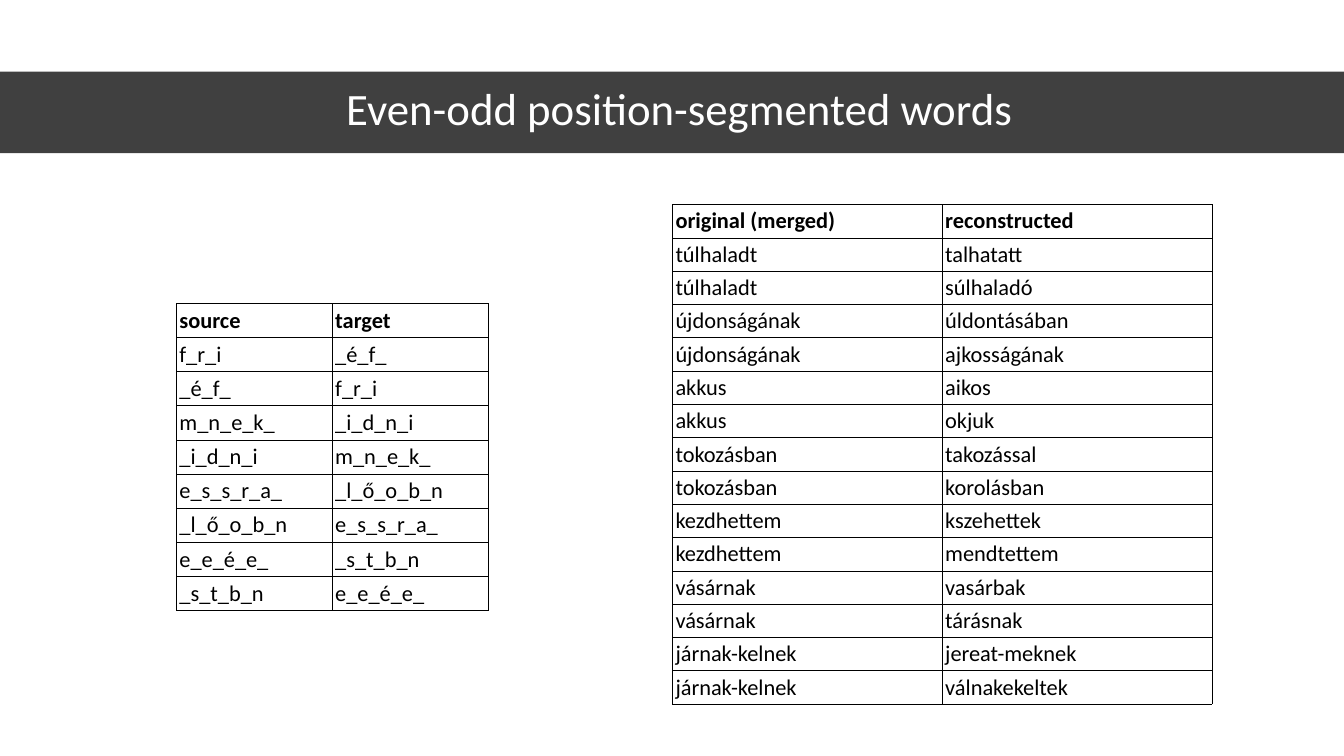
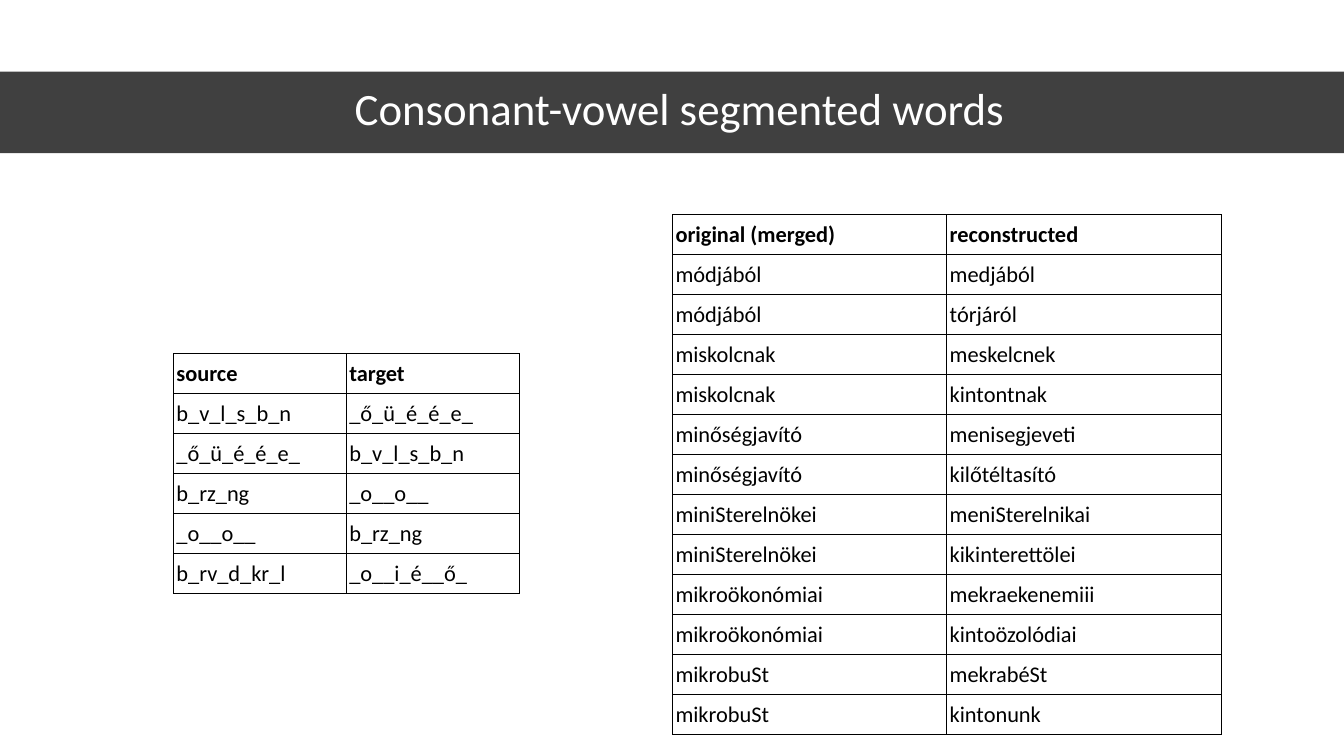
from lxml import etree
from pptx import Presentation
from pptx.dml.color import RGBColor
from pptx.enum.shapes import MSO_SHAPE
from pptx.enum.text import MSO_ANCHOR, PP_ALIGN
from pptx.oxml.ns import qn
from pptx.util import Inches, Pt

RECTANGLE = MSO_SHAPE.RECTANGLE
MIDDLE = MSO_ANCHOR.MIDDLE
CENTER = PP_ALIGN.CENTER

COLORS = {"ink": "000000", "paper": "FFFFFF"}
BAND_OPACITY = 75
BORDER_WIDTH = Pt(0.6)
BORDER_SIDES = ("a:lnL", "a:lnR", "a:lnT", "a:lnB")
CELL_FORMAT = {
    "margin_left": Inches(0.03),
    "margin_right": Inches(0.03),
    "margin_top": Inches(0.03),
    "margin_bottom": Inches(0.03),
    "vertical_anchor": MIDDLE,
}
TITLE_FORMAT = {"word_wrap": True, "vertical_anchor": MIDDLE}
TITLE_PARAGRAPH = {"alignment": CENTER, "line_spacing": 0.9}
TITLE_FONT = {"name": "Calibri", "size": Pt(32)}
CELL_FONT = {"name": "Calibri", "size": Pt(16)}

SEGMENT_HEADER = ("source", "target")
WORD_HEADER = ("original (merged)", "reconstructed")


def mirrored(pairs):
    return [row for first, second in pairs for row in ((first, second), (second, first))]


def reconstructions(groups):
    return [(word, guess) for word, *guesses in groups for guess in guesses]


SLIDES = [
    {
        "title": "Even-odd position-segmented words",
        "words": {
            "box": (6.67, 2.03, 5.35, 4.96),
            "rows": [WORD_HEADER] + reconstructions([
                ("túlhaladt", "talhatatt", "súlhaladó"),
                ("újdonságának", "úldontásában", "ajkosságának"),
                ("akkus", "aikos", "okjuk"),
                ("tokozásban", "takozással", "korolásban"),
                ("kezdhettem", "kszehettek", "mendtettem"),
                ("vásárnak", "vasárbak", "tárásnak"),
                ("járnak-kelnek", "jereat-meknek", "válnakekeltek"),
            ]),
        },
        "segments": {
            "box": (1.75, 3.01, 3.09, 3.05),
            "rows": [SEGMENT_HEADER] + mirrored([
                ("f_r_i", "_é_f_"),
                ("m_n_e_k_", "_i_d_n_i"),
                ("e_s_s_r_a_", "_l_ő_o_b_n"),
                ("e_e_é_e_", "_s_t_b_n"),
            ]),
        },
    },
    {
        "title": "Consonant-vowel segmented words",
        "words": {
            "box": (6.67, 2.13, 5.44, 5.16),
            "rows": [WORD_HEADER] + reconstructions([
                ("módjából", "medjából", "tórjáról"),
                ("miskolcnak", "meskelcnek", "kintontnak"),
                ("minőségjavító", "menisegjeveti", "kilőtéltasító"),
                ("miniSterelnökei", "meniSterelnikai", "kikinterettölei"),
                ("mikroökonómiai", "mekraekenemiii", "kintoözolódiai"),
                ("mikrobuSt", "mekrabéSt", "kintonunk"),
            ]),
        },
        "segments": {
            "box": (1.72, 3.51, 3.43, 2.38),
            "rows": [SEGMENT_HEADER] + mirrored([
                ("b_v_l_s_b_n", "_ő_ü_é_é_e_"),
                ("b_rz_ng", "_o__o__"),
            ]) + [("b_rv_d_kr_l", "_o__i_é__ő_")],
        },
    },
]


def apply_format(target, values):
    for name, value in values.items():
        setattr(target, name, value)


def paint(fill, color):
    fill.solid()
    fill.fore_color.rgb = RGBColor.from_string(COLORS[color])


def write_text(paragraph, text, font_values, color):
    run = paragraph.add_run()
    run.text = text
    apply_format(run.font, font_values)
    run.font.color.rgb = RGBColor.from_string(COLORS[color])


def add_band(slide, width):
    band = slide.shapes.add_shape(RECTANGLE, 0, Inches(0.71), width, Inches(0.81))
    band.shadow.inherit = False
    band.line.fill.background()
    paint(band.fill, "ink")
    color = band.fill._xPr.find(qn("a:solidFill")).find(qn("a:srgbClr"))
    etree.SubElement(color, qn("a:alpha"), val=str(BAND_OPACITY * 1000))


def add_title(slide, text):
    box = slide.shapes.add_textbox(Inches(0.61), Inches(0.7), Inches(12.26), Inches(0.81))
    apply_format(box.text_frame, TITLE_FORMAT)
    paragraph = box.text_frame.paragraphs[0]
    apply_format(paragraph, TITLE_PARAGRAPH)
    write_text(paragraph, text, TITLE_FONT, "paper")


def add_borders(cell):
    properties = cell._tc.get_or_add_tcPr()
    for position, side in enumerate(BORDER_SIDES):
        line = etree.Element(qn(side), w=str(int(BORDER_WIDTH)))
        fill = etree.SubElement(line, qn("a:solidFill"))
        etree.SubElement(fill, qn("a:srgbClr"), val=COLORS["ink"])
        properties.insert(position, line)


def add_word_table(slide, box, rows):
    lengths = [Inches(length) for length in box]
    frame = slide.shapes.add_table(len(rows), len(rows[0]), *lengths)
    table = frame.table
    apply_format(table, {"first_row": False, "horz_banding": False})
    for row_index, row in enumerate(rows):
        for column_index, text in enumerate(row):
            cell = table.cell(row_index, column_index)
            apply_format(cell, CELL_FORMAT)
            paint(cell.fill, "paper")
            add_borders(cell)
            font_values = {**CELL_FONT, "bold": row_index == 0}
            write_text(cell.text_frame.paragraphs[0], text, font_values, "ink")


def main():
    presentation = Presentation()
    presentation.slide_width = Inches(13.33)
    presentation.slide_height = Inches(7.5)
    blank_layout = presentation.slide_layouts[6]
    for content in SLIDES:
        slide = presentation.slides.add_slide(blank_layout)
        add_band(slide, presentation.slide_width)
        add_title(slide, content["title"])
        for name in ("words", "segments"):
            add_word_table(slide, **content[name])
    presentation.save("out.pptx")


if __name__ == "__main__":
    main()
